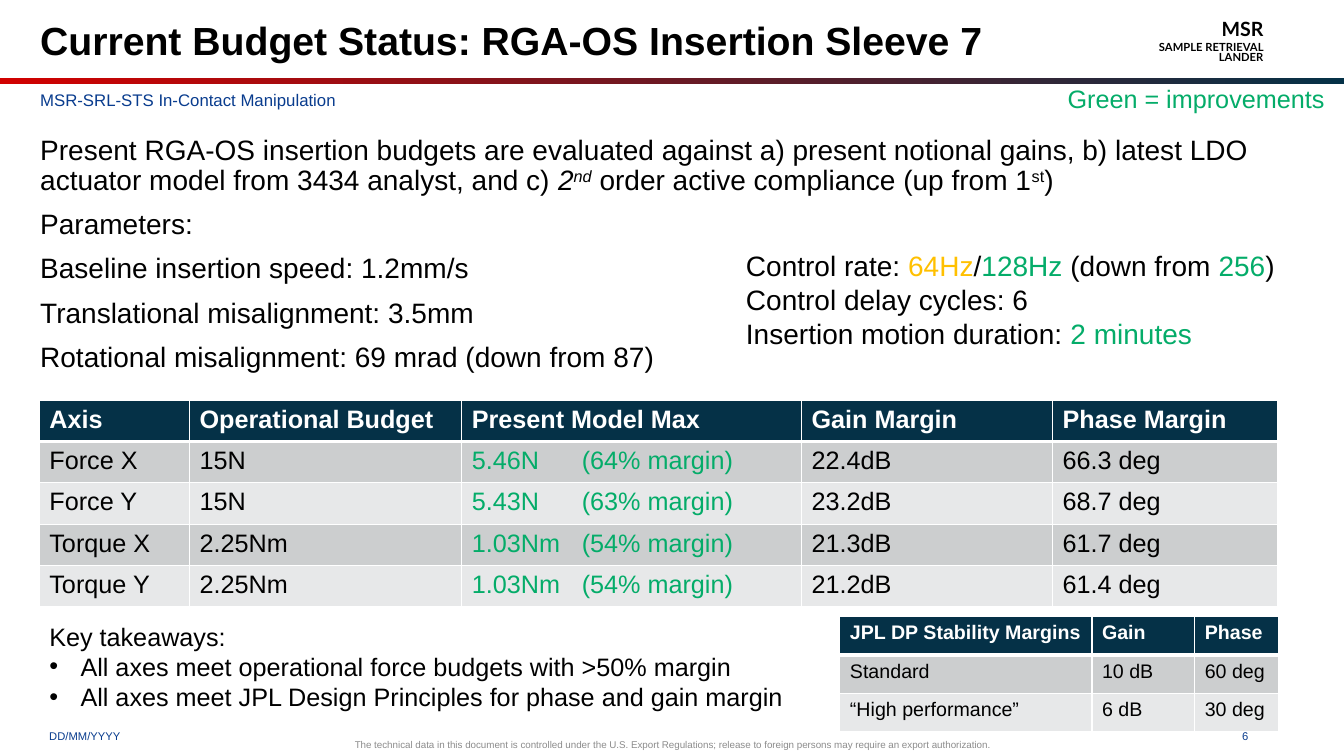
from pptx import Presentation
from pptx.dml.color import RGBColor
from pptx.enum.shapes import MSO_SHAPE as SHAPE
from pptx.enum.text import MSO_ANCHOR as ANCHOR, PP_ALIGN as ALIGN
from pptx.oxml.ns import qn
from pptx.util import Inches, Pt
from lxml.etree import SubElement, Element

BLACK, WHITE, GREEN, AMBER = "000000", "FFFFFF", "04AC69", "FFC000"
NAVY, RED, BLUE, GRAY = "053147", "D10100", "093C8E", "8C8C8C"
BANDS = ["CCCECF", "E7E8E9"]


def rgb(value):
    return RGBColor.from_string(value)


class SlideBuilder:
    """Holds the font and the current slide."""

    def __init__(self, slide, font="Arial"):
        self.slide = slide
        self.font = font

    def run(self, p, text, size, color=BLACK, bold=False, italic=False, raised=False, font=None):
        r = p.add_run()
        r.text = text
        f = r.font
        f.name, f.size, f.bold, f.italic = font or self.font, Pt(size), bold, italic
        f.color.rgb = rgb(color)
        if raised:
            r._r.get_or_add_rPr().set("baseline", "30000")

    def text(self, box, paragraphs, size, color=BLACK, align=ALIGN.LEFT, anchor=ANCHOR.TOP,
             spacing=None, before=0, **style):
        """Each paragraph is a string or a list of (text, run style) pairs."""
        sp = self.slide.shapes.add_textbox(*map(Inches, box))
        tf = sp.text_frame
        tf.word_wrap = True
        tf.vertical_anchor = anchor
        for i, runs in enumerate(paragraphs):
            p = tf.paragraphs[0] if i == 0 else tf.add_paragraph()
            p.alignment = align
            if spacing:
                p.line_spacing = spacing
            if i and before:
                p.space_before = Pt(before)
            for text, extra in [(runs, {})] if isinstance(runs, str) else runs:
                self.run(p, text, **{"size": size, "color": color, **style, **extra})
        return tf

    def bullet(self, p, indent):
        pPr = p._p.get_or_add_pPr()
        pPr.set("marL", str(Inches(indent)))
        pPr.set("indent", str(-Inches(indent)))
        SubElement(pPr, qn("a:buFont"), typeface="Arial")
        SubElement(pPr, qn("a:buChar"), char="•")

    def tab_stop(self, p, position):
        tabs = SubElement(p._p.get_or_add_pPr(), qn("a:tabLst"))
        SubElement(tabs, qn("a:tab"), pos=str(Inches(position)), algn="l")

    def gradient_bar(self, box, start, end):
        sp = self.slide.shapes.add_shape(SHAPE.RECTANGLE, *map(Inches, box))
        sp.shadow.inherit = False
        sp.line.fill.background()
        sp.fill.gradient()
        sp.fill.gradient_angle = 0
        for stop, color in zip(sp.fill.gradient_stops, (start, end)):
            stop.color.rgb = rgb(color)

    def borders(self, cell, top, bottom):
        tcPr = cell._tc.get_or_add_tcPr()
        for i, (side, width) in enumerate([("L", 1), ("R", 1), ("T", top), ("B", bottom)]):
            ln = Element(qn(f"a:ln{side}"), w=str(Pt(width)))
            SubElement(SubElement(ln, qn("a:solidFill")), qn("a:srgbClr"), val=WHITE)
            tcPr.insert(i, ln)

    def table(self, left, top, widths, row_height, rows, size, green_col=None, tab=None):
        frame = self.slide.shapes.add_table(
            len(rows), len(widths), Inches(left), Inches(top),
            Inches(sum(widths)), Inches(row_height * len(rows)))
        table = frame.table
        for column, width in zip(table.columns, widths):
            column.width = Inches(width)
        for i, row in enumerate(rows):
            table.rows[i].height = Inches(row_height)
            for j, text in enumerate(row):
                cell = table.cell(i, j)
                cell.fill.solid()
                cell.fill.fore_color.rgb = rgb(BANDS[(i - 1) % 2] if i else NAVY)
                self.borders(cell, top=3 if i == 1 else 1, bottom=1 if i else 3)
                p = cell.text_frame.paragraphs[0]
                if "\t" in text:
                    self.tab_stop(p, tab)
                body_color = GREEN if j == green_col else BLACK
                self.run(p, text, size, body_color if i else WHITE, bold=i == 0)


def main():
    prs = Presentation()
    prs.slide_width, prs.slide_height = Inches(13.33), Inches(7.5)
    s = SlideBuilder(prs.slides.add_slide(prs.slide_layouts[6]))

    # Header
    s.gradient_bar((0, 0.77, 13.33, 0.06), RED, NAVY)
    s.text((11.27, 0.17, 1.36, 0.51),
           [[("MSR", {"size": 14})], "SAMPLE RETRIEVAL LANDER"], 8, align=ALIGN.RIGHT,
           anchor=ANCHOR.MIDDLE, spacing=0.75, before=2, bold=True, font="Lato")
    s.text((0.3, 0.84, 11.24, 0.3), ["MSR-SRL-STS In-Contact Manipulation"], 12, BLUE)
    s.text((0.3, 0.17, 11.24, 0.6), ["Current Budget Status: RGA-OS Insertion Sleeve 7"],
           28, spacing=0.9, bold=True)
    s.text((10.49, 0.78, 2.84, 0.4), ["Green = improvements"], 18, GREEN)

    # Evaluation basis and parameters
    s.text((0.3, 1.3, 12.71, 5.75), [
        [("Present RGA-OS insertion budgets are evaluated against a) present notional gains, "
          "b) latest LDO actuator model from 3434 analyst, and c) ", {}),
         ("2", {"italic": True}), ("nd", {"italic": True, "raised": True}),
         (" order active compliance (up from 1", {}), ("st", {"raised": True}), (")", {})],
        "Parameters:",
        "Baseline insertion speed: 1.2mm/s",
        "Translational misalignment: 3.5mm",
        "Rotational misalignment: 69 mrad (down from 87)",
    ], 20, spacing=0.9, before=10)
    green = {"color": GREEN}
    s.text((7.3, 2.42, 5.61, 1.11), [
        [("Control rate: ", {}), ("64Hz", {"color": AMBER}), ("/", {}), ("128Hz", green),
         (" (down from ", {}), ("256", green), (")", {})],
        "Control delay cycles: 6",
        [("Insertion motion duration: ", {}), ("2 minutes", green)],
    ], 20)

    # Budget table
    s.table(0.39, 3.97, [1.49, 2.7, 3.37, 2.49, 2.23], 0.41, [
        ["Axis", "Operational Budget", "Present Model Max", "Gain Margin", "Phase Margin"],
        ["Force X", "15N", "5.46N\t(64% margin)", "22.4dB", "66.3 deg"],
        ["Force Y", "15N", "5.43N\t(63% margin)", "23.2dB", "68.7 deg"],
        ["Torque X", "2.25Nm", "1.03Nm\t(54% margin)", "21.3dB", "61.7 deg"],
        ["Torque Y", "2.25Nm", "1.03Nm\t(54% margin)", "21.2dB", "61.4 deg"],
    ], 18, green_col=2, tab=1.09)

    # Takeaways
    tf = s.text((0.39, 6.11, 7.61, 1.01), [
        "Key takeaways:",
        "All axes meet operational force budgets with >50% margin",
        "All axes meet JPL Design Principles for phase and gain margin",
    ], 18)
    for p in tf.paragraphs[1:]:
        s.bullet(p, 0.31)

    # Stability margins table
    s.table(8.33, 6.12, [2.5, 1.02, 0.83], 0.38, [
        ["JPL DP Stability Margins", "Gain", "Phase"],
        ["Standard", "10 dB", "60 deg"],
        ["“High performance”", "6 dB", "30 deg"],
    ], 14)

    # Footer
    s.text((0.39, 7.1, 1.87, 0.4), ["DD/MM/YYYY"], 8, BLUE, anchor=ANCHOR.MIDDLE)
    s.text((2.26, 7.28, 8.82, 0.22),
           ["The technical data in this document is controlled under the U.S. Export Regulations; "
            "release to foreign persons may require an export authorization."],
           7, GRAY, ALIGN.CENTER, ANCHOR.MIDDLE)
    s.text((11.75, 7.1, 0.73, 0.4), ["6"], 8, BLUE, ALIGN.RIGHT, ANCHOR.MIDDLE)

    prs.save("out.pptx")


if __name__ == "__main__":
    main()
